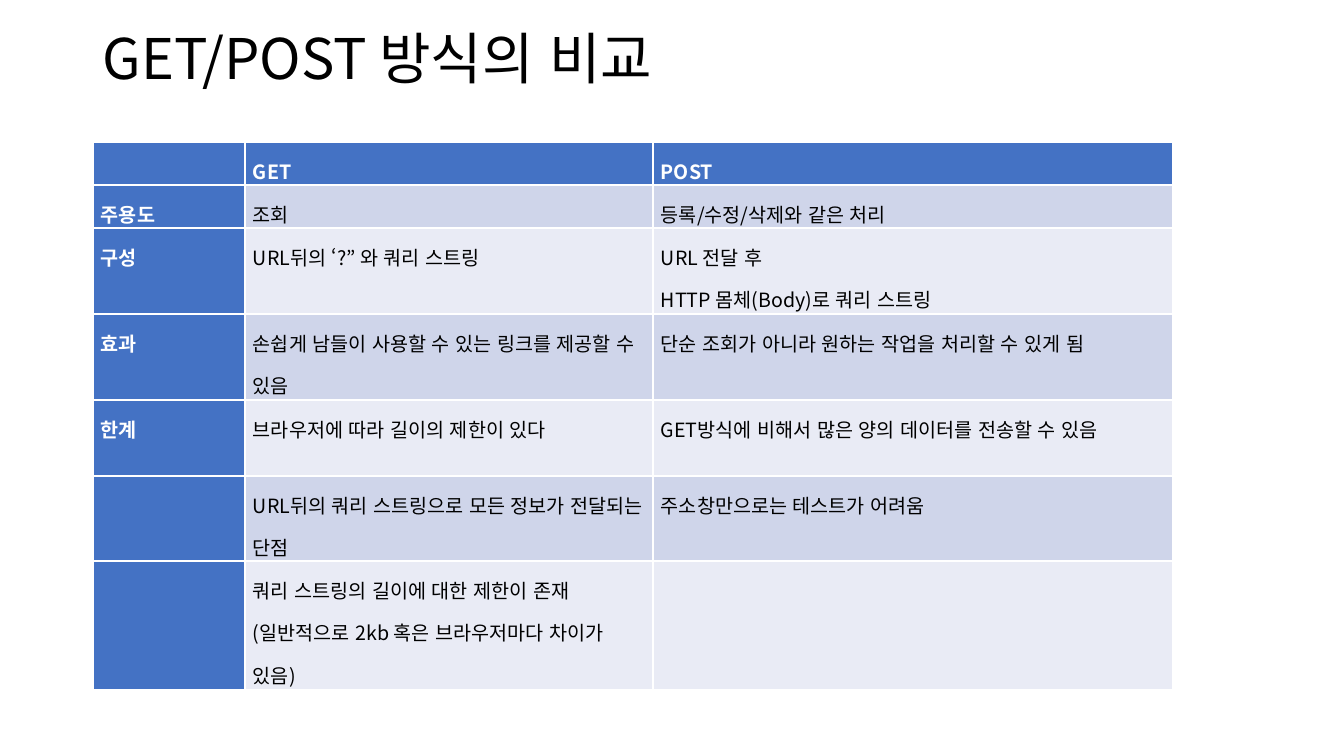
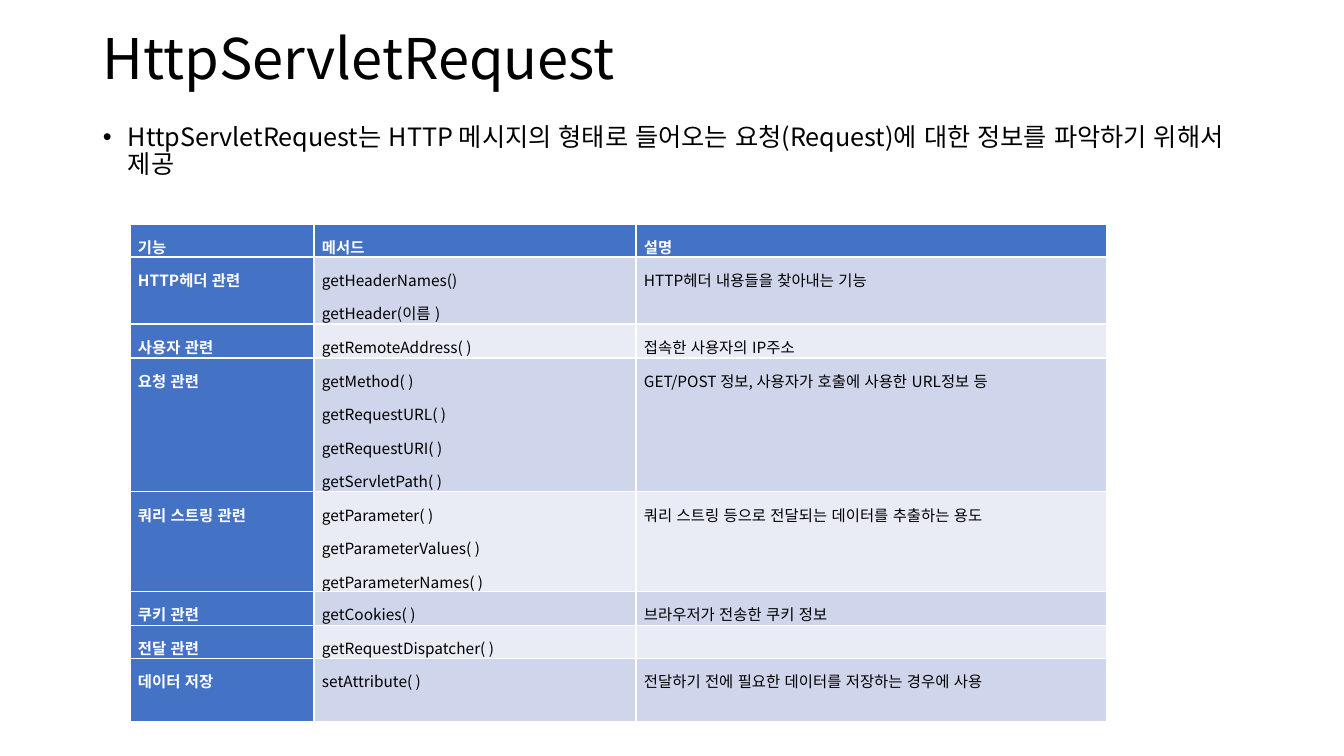
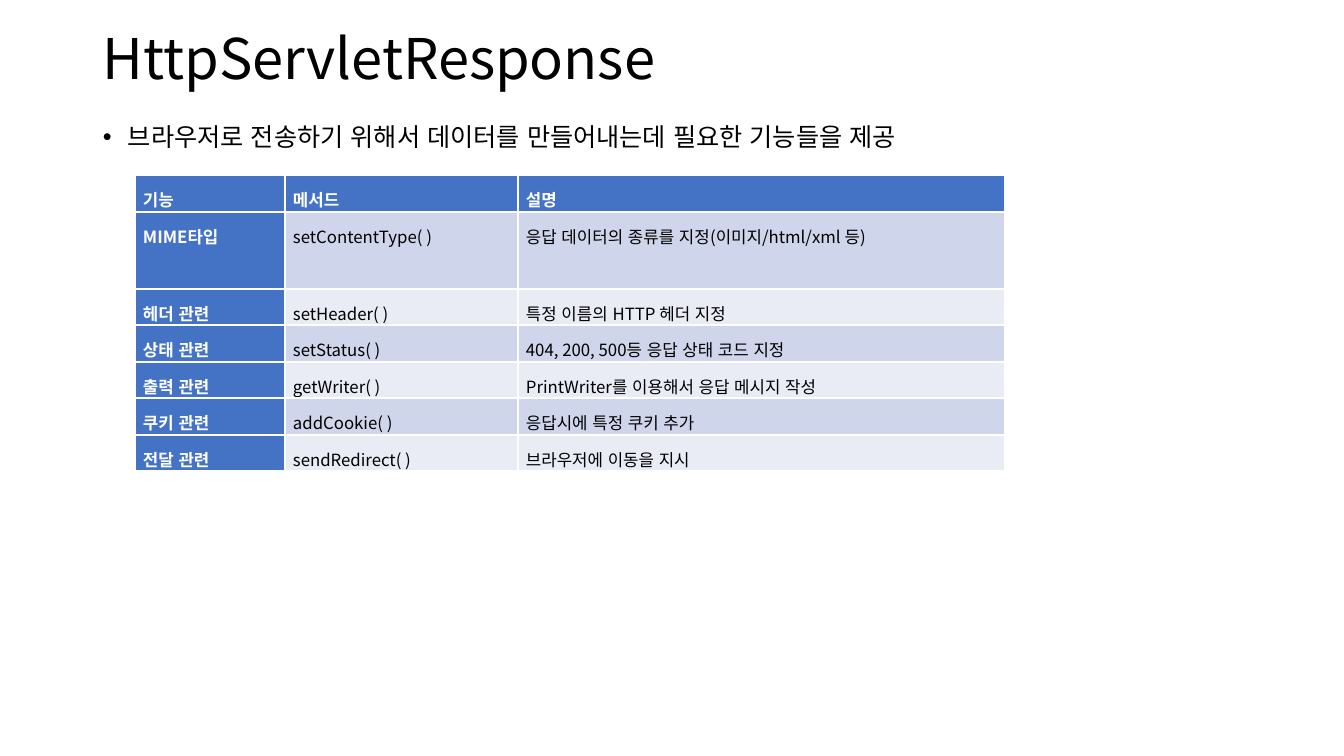
from lxml import etree
from pptx import Presentation
from pptx.dml.color import RGBColor
from pptx.enum.lang import MSO_LANGUAGE_ID
from pptx.enum.text import MSO_ANCHOR
from pptx.oxml.ns import qn
from pptx.util import Pt

FONT = "Noto Sans CJK KR"
BULLET_FONT = "Arial"
KOREAN = MSO_LANGUAGE_ID.KOREAN
BLACK, WHITE, BLUE = "000000", "FFFFFF", "4472C4"
BANDS = ("CFD5EA", "E9EBF5")
MIDDLE, TOP = MSO_ANCHOR.MIDDLE, MSO_ANCHOR.TOP
EMU_PER_PX = 914400 / 100.8
SLIDE_SIZE = (1344, 756)
TITLE_BOX = (93, 15, 1159, 93)
BODY_BOX = (93, 120, 1159, 560)
BULLET_INDENT = 25
CELL_INSET = 8

SLIDES = [
    {
        "title": "GET/POST 방식의 비교",
        "bullet": None,
        "corner": (93, 142),
        "size": 14,
        "columns": (152, 408, 520),
        "heights": (43, 43, 86, 86, 76, 85, 129),
        "rows": [
            ("", "GET", "POST"),
            ("주용도", "조회", "등록/수정/삭제와 같은 처리"),
            ("구성", "URL뒤의 ‘?” 와 쿼리 스트링",
             "URL 전달 후\nHTTP 몸체(Body)로 쿼리 스트링"),
            ("효과", "손쉽게 남들이 사용할 수 있는 링크를 제공할 수 있음",
             "단순 조회가 아니라 원하는 작업을 처리할 수 있게 됨"),
            ("한계", "브라우저에 따라 길이의 제한이 있다",
             "GET방식에 비해서 많은 양의 데이터를 전송할 수 있음"),
            ("", "URL뒤의 쿼리 스트링으로 모든 정보가 전달되는 단점",
             "주소창만으로는 테스트가 어려움"),
            ("", "쿼리 스트링의 길이에 대한 제한이 존재"
             "(일반적으로 2kb 혹은 브라우저마다 차이가 있음)", ""),
        ],
    },
    {
        "title": "HttpServletRequest",
        "bullet": "HttpServletRequest는 HTTP 메시지의 형태로 들어오는 요청(Request)에 "
                  "대한 정보를 파악하기 위해서 제공",
        "corner": (130, 224),
        "size": 11,
        "columns": (184, 322, 471),
        "heights": (33, 67, 34, 134, 100, 34, 33, 63),
        "rows": [
            ("기능", "메서드", "설명"),
            ("HTTP헤더 관련", "getHeaderNames()\ngetHeader(이름 )",
             "HTTP헤더 내용들을 찾아내는 기능"),
            ("사용자 관련", "getRemoteAddress( )", "접속한 사용자의 IP주소"),
            ("요청 관련",
             "getMethod( )\ngetRequestURL( )\ngetRequestURI( )\ngetServletPath( )",
             "GET/POST 정보, 사용자가 호출에 사용한 URL정보 등"),
            ("쿼리 스트링 관련",
             "getParameter( )\ngetParameterValues( )\ngetParameterNames( )",
             "쿼리 스트링 등으로 전달되는 데이터를 추출하는 용도"),
            ("쿠키 관련", "getCookies( )", "브라우저가 전송한 쿠키 정보"),
            ("전달 관련", "getRequestDispatcher( )", ""),
            ("데이터 저장", "setAttribute( )",
             "전달하기 전에 필요한 데이터를 저장하는 경우에 사용"),
        ],
    },
    {
        "title": "HttpServletResponse",
        "bullet": "브라우저로 전송하기 위해서 데이터를 만들어내는데 필요한 기능들을 제공",
        "corner": (135, 175),
        "size": 12,
        "columns": (150, 233, 487),
        "heights": (37, 77, 36, 37, 36, 37, 36),
        "rows": [
            ("기능", "메서드", "설명"),
            ("MIME타입", "setContentType( )",
             "응답 데이터의 종류를 지정(이미지/html/xml 등)"),
            ("헤더 관련", "setHeader( )", "특정 이름의 HTTP 헤더 지정"),
            ("상태 관련", "setStatus( )", "404, 200, 500등 응답 상태 코드 지정"),
            ("출력 관련", "getWriter( )", "PrintWriter를 이용해서 응답 메시지 작성"),
            ("쿠키 관련", "addCookie( )", "응답시에 특정 쿠키 추가"),
            ("전달 관련", "sendRedirect( )", "브라우저에 이동을 지시"),
        ],
    },
]


def px(length):
    return round(length * EMU_PER_PX)


def rgb(value):
    return RGBColor.from_string(value)


def style_paragraph(paragraph, size, color, line_spacing, bold=False):
    paragraph.line_spacing = line_spacing
    font = paragraph.font
    font.name, font.size, font.bold = FONT, Pt(size), bold
    font.language_id = KOREAN
    font.color.rgb = rgb(color)
    properties = paragraph._p.get_or_add_pPr().find(qn("a:defRPr"))
    properties.set("kern", "1200")
    etree.SubElement(properties, qn("a:ea"), typeface=FONT)


def add_text(slide, box, text, size, anchor):
    shape = slide.shapes.add_textbox(*map(px, box))
    frame = shape.text_frame
    frame.word_wrap = True
    frame.vertical_anchor = anchor
    frame.text = text
    paragraph = frame.paragraphs[0]
    style_paragraph(paragraph, size, BLACK, 0.9)
    return paragraph


def add_bullet(paragraph):
    paragraph.space_before = Pt(10)
    properties = paragraph._p.get_or_add_pPr()
    properties.set("marL", str(px(BULLET_INDENT)))
    properties.set("indent", str(-px(BULLET_INDENT)))
    text_defaults = properties.find(qn("a:defRPr"))
    text_defaults.addprevious(etree.Element(qn("a:buFont"), typeface=BULLET_FONT))
    text_defaults.addprevious(etree.Element(qn("a:buChar"), char="•"))


def fill_cell(cell, text, row, column, size):
    is_heading = row == 0 or column == 0
    cell.fill.solid()
    cell.fill.fore_color.rgb = rgb(BLUE if is_heading else BANDS[(row - 1) % 2])
    cell.margin_left = cell.margin_right = px(CELL_INSET)
    cell.margin_top = cell.margin_bottom = 0
    cell.text = text
    for paragraph in cell.text_frame.paragraphs:
        style_paragraph(paragraph, size, WHITE if is_heading else BLACK, 1.5, is_heading)


def add_grid(slide, content):
    """Add the table; its white rules come from the default table style."""
    columns, heights, rows = content["columns"], content["heights"], content["rows"]
    box = (*content["corner"], sum(columns), sum(heights))
    table = slide.shapes.add_table(len(rows), len(columns), *map(px, box)).table
    table.first_col = True
    for column, width in zip(table.columns, columns):
        column.width = px(width)
    for row, height in zip(table.rows, heights):
        row.height = px(height)
    for r, texts in enumerate(rows):
        for c, text in enumerate(texts):
            fill_cell(table.cell(r, c), text, r, c, content["size"])


def main():
    presentation = Presentation()
    presentation.slide_width, presentation.slide_height = map(px, SLIDE_SIZE)
    blank = presentation.slide_layouts[6]
    for content in SLIDES:
        slide = presentation.slides.add_slide(blank)
        add_text(slide, TITLE_BOX, content["title"], 40, MIDDLE)
        if content["bullet"]:
            add_bullet(add_text(slide, BODY_BOX, content["bullet"], 18, TOP))
        add_grid(slide, content)
    presentation.save("out.pptx")


if __name__ == "__main__":
    main()
